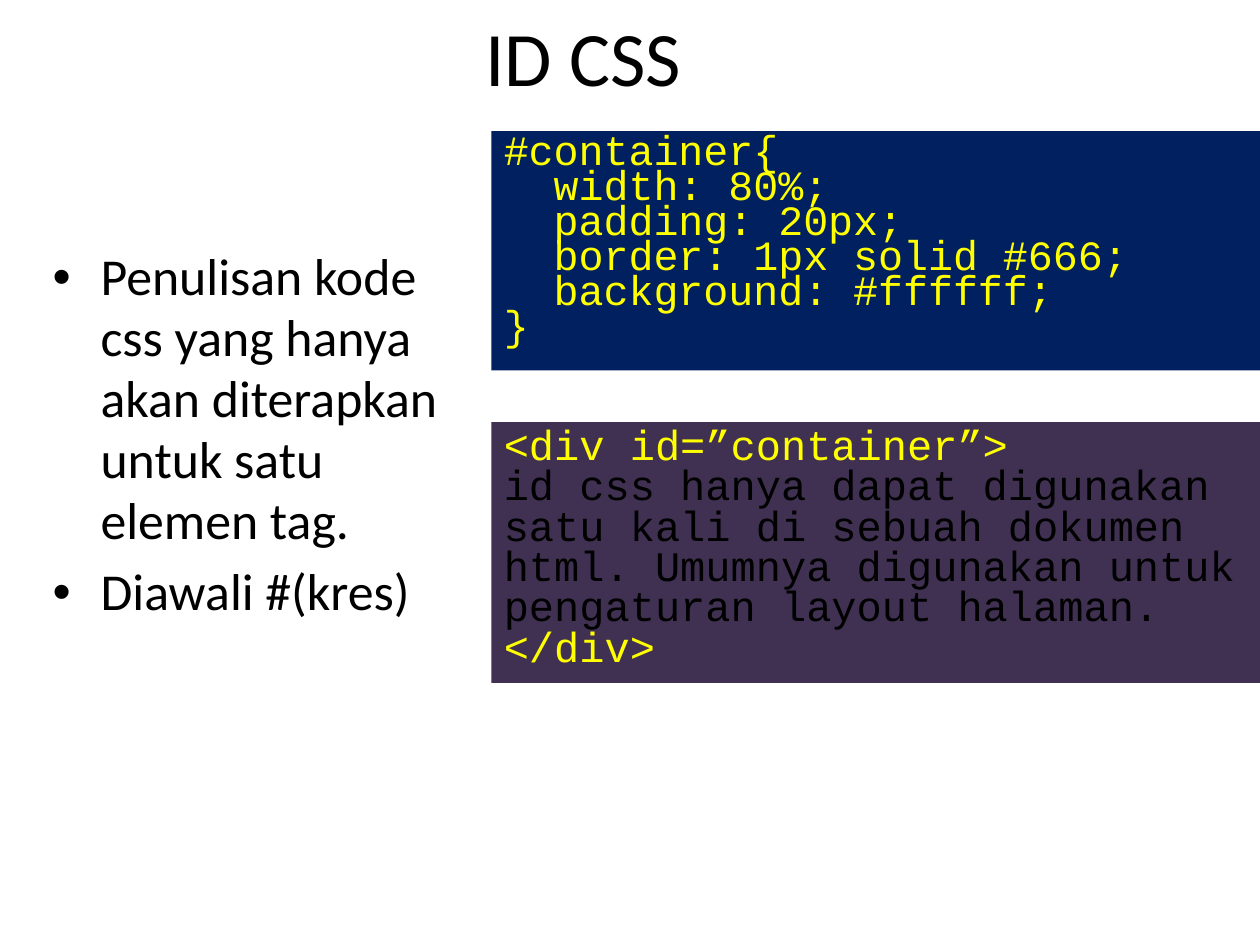
from lxml import etree
from pptx import Presentation, util as u
from pptx.dml.color import RGBColor
from pptx.enum import shapes, text
from pptx.oxml.ns import qn

TITLE = "ID CSS"
POINTS = [
    "Penulisan kode css yang hanya akan diterapkan untuk satu elemen tag.",
    "Diawali #(kres)",
]
# Each line of code: (text, colour name)
RULE = [(line, "code") for line in (
    "#container{ ",
    "  width: 80%;",
    "  padding: 20px;",
    "  border: 1px solid #666;",
    "  background: #ffffff;",
    "}",
)]
MARKUP = [
    ("<div id=”container”>", "code"),
    ("id css hanya dapat digunakan satu kali di sebuah dokumen html. "
     "Umumnya digunakan untuk pengaturan layout halaman.", "ink"),
    ("</div>", "code"),
]
# Code panels: lines, fill, type size, line spacing, top and height
PANELS = [
    (RULE, "navy", "rule", 0.7, 1.04, 1.9),
    (MARKUP, "plum", "markup", 0.8, 3.35, 2.07),
]
THEME = {
    "ink": "000000", "code": "FFFF00", "navy": "002060", "plum": "403152",
    "font": "Calibri", "mono": "Courier New",
    "size": {"title": 44, "body": 29.6, "rule": 23.8, "markup": 24},
}
WIDE, HIGH = 10, 7.5
LEFT, SPLIT = 0.32, 3.9
HANG = 0.38


def color(name):
    return RGBColor.from_string(THEME[name])


def style(para, face, size):
    para.font.name = THEME[face]
    para.font.size = u.Pt(THEME["size"][size])


def add_text(slide, box, anchor):
    frame = slide.shapes.add_textbox(*map(u.Inches, box)).text_frame
    frame.word_wrap = True
    frame.vertical_anchor = anchor
    return frame


def add_bullet(para):
    props = para._p.get_or_add_pPr()
    props.set("marL", str(u.Inches(HANG)))
    props.set("indent", str(-u.Inches(HANG)))
    etree.SubElement(props, qn("a:buFont")).set("typeface", "Arial")
    etree.SubElement(props, qn("a:buChar")).set("char", "•")


def add_panel(slide, lines, fill, size, gap, top, high):
    box = map(u.Inches, (SPLIT, top, WIDE - SPLIT, high))
    panel = slide.shapes.add_shape(shapes.MSO_SHAPE.RECTANGLE, *box)
    panel.shadow.inherit = False
    panel.fill.solid()
    panel.fill.fore_color.rgb = color(fill)
    panel.line.fill.background()
    frame = panel.text_frame
    frame.word_wrap = True
    frame.vertical_anchor = text.MSO_ANCHOR.TOP
    para = frame.paragraphs[0]
    para.alignment = text.PP_ALIGN.LEFT
    para.line_spacing = gap
    para.space_before = u.Pt(10)
    style(para, "mono", size)
    for i, (line, tone) in enumerate(lines):
        if i:
            para.add_line_break()
        run = para.add_run()
        run.text = line
        run.font.color.rgb = color(tone)


def main():
    deck = Presentation()
    deck.slide_width, deck.slide_height = u.Inches(WIDE), u.Inches(HIGH)
    slide = deck.slides.add_slide(deck.slide_layouts[6])

    title = add_text(slide, (LEFT, -0.28, 8.62, 1.45), text.MSO_ANCHOR.MIDDLE)
    head = title.paragraphs[0]
    head.text = TITLE
    head.alignment = text.PP_ALIGN.CENTER
    style(head, "font", "title")
    head.font.color.rgb = color("ink")

    body = add_text(slide, (LEFT, 1.91, 3.43, 2.91), text.MSO_ANCHOR.TOP)
    for i, point in enumerate(POINTS):
        para = body.add_paragraph() if i else body.paragraphs[0]
        para.text = point
        para.line_spacing = 0.98
        para.space_before = u.Pt(0.2 * THEME["size"]["body"])
        add_bullet(para)
        style(para, "font", "body")
        para.font.color.rgb = color("ink")

    for panel in PANELS:
        add_panel(slide, *panel)
    deck.save("out.pptx")


if __name__ == "__main__":
    main()
